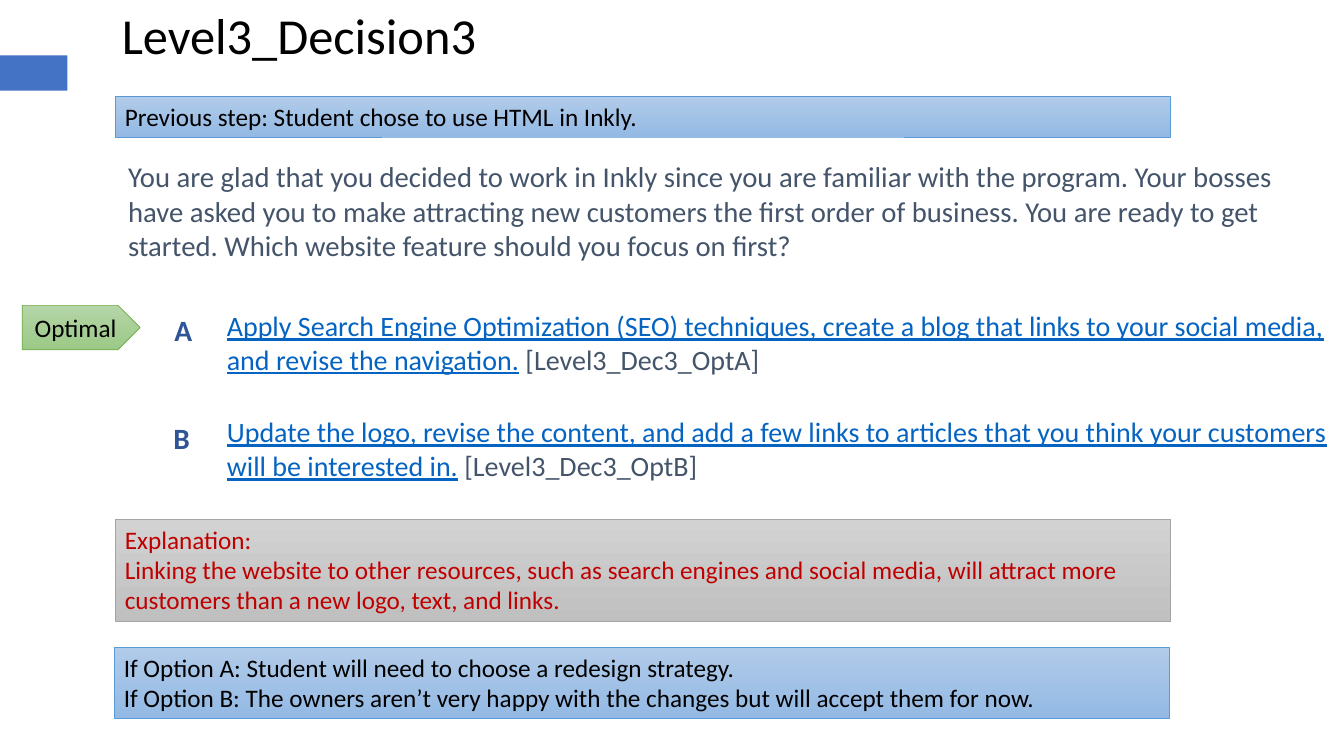
from pptx import Presentation
from pptx import util as u
from pptx.dml.color import RGBColor
from pptx.enum import shapes, text

COLOURS = {
    "accent": "4472C4", "body": "44546A", "link": "0563C1", "letter": "2F5597",
    "black": "000000", "red": "C00000",
}
PANELS = {
    "blue": ("B1CBE9", "93B9E4", "5B9BD5"),
    "grey": ("D2D2D2", "C0C0C0", "A5A5A5"),
    "green": ("B5D5A7", "9CC987", "70AD47"),
}
WIDE_INSETS = (0.13, 0.07)
NORMAL_INSETS = (0.1, 0.05)


def rgb(value):
    """Turn a hex string into a colour."""
    return RGBColor.from_string(value)


def style(span, size, colour, bold=False, underline=False):
    """Format one run of text."""
    span.font.name = "Calibri"
    span.font.size = u.Pt(size)
    span.font.color.rgb = rgb(COLOURS[colour])
    span.font.bold = bold
    span.font.underline = underline


def set_frame(shape, insets, wrap=True, anchor=text.MSO_ANCHOR.TOP):
    """Set the insets, wrapping and anchor of a shape's text."""
    frame = shape.text_frame
    frame.margin_left = frame.margin_right = u.Inches(insets[0])
    frame.margin_top = frame.margin_bottom = u.Inches(insets[1])
    frame.word_wrap = wrap
    frame.vertical_anchor = anchor
    return frame


def add_label(page, box, words, size, colour, bold=False, insets=WIDE_INSETS, wrap=True):
    """Add a text box with a single paragraph."""
    label = page.shapes.add_textbox(*map(u.Inches, box))
    frame = set_frame(label, insets, wrap)
    frame.text = words
    style(frame.paragraphs[0].runs[0], size, colour, bold)


def add_panel(page, box, palette, lines, colour="black", kind=shapes.MSO_SHAPE.RECTANGLE,
              anchor=text.MSO_ANCHOR.TOP, align=text.PP_ALIGN.LEFT):
    """Add an outlined shape with a vertical gradient and lines of text."""
    panel = page.shapes.add_shape(kind, *map(u.Inches, box))
    panel.shadow.inherit = False
    top, bottom, outline = PANELS[palette]
    panel.fill.gradient()
    panel.fill.gradient_angle = 270
    for stop, shade in zip(panel.fill.gradient_stops, (top, bottom)):
        stop.color.rgb = rgb(shade)
    panel.line.color.rgb = rgb(outline)
    panel.line.width = u.Pt(0.5)
    frame = set_frame(panel, NORMAL_INSETS, anchor=anchor)
    frame.text = "\n".join(lines)
    for para in frame.paragraphs:
        para.alignment = align
        style(para.runs[0], 18, colour)


def add_options(page, box, options):
    """Add the answer options, each an underlined choice and its tag."""
    choices = page.shapes.add_textbox(*map(u.Inches, box))
    frame = set_frame(choices, WIDE_INSETS)
    for index, (choice, tag) in enumerate(options):
        para = frame.add_paragraph() if index else frame.paragraphs[0]
        if index:
            para.space_before = u.Pt(28)
        para.text = choice
        style(para.runs[0], 20, "link", underline=True)
        span = para.add_run()
        span.text = f" {tag}"
        style(span, 20, "body")


def add_accent(page, box):
    """Add the plain bar at the left edge."""
    bar = page.shapes.add_shape(shapes.MSO_SHAPE.RECTANGLE, *map(u.Inches, box))
    bar.shadow.inherit = False
    bar.fill.solid()
    bar.fill.fore_color.rgb = rgb(COLOURS["accent"])
    bar.line.fill.background()


def decision_slide(deck):
    """Build the decision slide."""
    page = deck.slides.add_slide(deck.slide_layouts[6])
    add_accent(page, (0, 0.55, 0.67, 0.35))
    add_label(page, (1.14, 1.51, 12.19, 1.48),
              "You are glad that you decided to work in Inkly since you are familiar with the "
              "program. Your bosses have asked you to make attracting new customers the first "
              "order of business. You are ready to get started. Which website feature should "
              "you focus on first?", 20.5, "body")
    add_options(page, (2.12, 2.99, 11.37, 2.03), [
        ("Apply Search Engine Optimization (SEO) techniques, create a blog that links to your "
         "social media, and revise the navigation.", "[Level3_Dec3_OptA]"),
        ("Update the logo, revise the content, and add a few links to articles that you think "
         "your customers will be interested in.", "[Level3_Dec3_OptB]"),
    ])
    add_label(page, (1.6, 3.03, 0.68, 0.58), "A", 21, "letter", bold=True)
    add_label(page, (1.59, 4.1, 0.7, 0.44), "B", 21, "letter", bold=True)
    add_label(page, (1.11, -0.01, 3.72, 0.71), "Level3_Decision3", 36, "black",
              insets=NORMAL_INSETS, wrap=False)
    add_panel(page, (1.14, 0.96, 10.47, 0.4), "blue",
              ["Previous step: Student chose to use HTML in Inkly."])
    add_panel(page, (1.13, 6.42, 10.47, 0.71), "blue", [
        "If Option A: Student will need to choose a redesign strategy.",
        "If Option B: The owners aren’t very happy with the changes but will accept them for now.",
    ])
    add_panel(page, (1.14, 5.15, 10.47, 1.01), "grey", [
        "Explanation:",
        "Linking the website to other resources, such as search engines and social media, will "
        "attract more customers than a new logo, text, and links.",
    ], colour="red")
    add_panel(page, (0.22, 3.03, 1.17, 0.44), "green", ["Optimal"],
              kind=shapes.MSO_SHAPE.PENTAGON, anchor=text.MSO_ANCHOR.MIDDLE,
              align=text.PP_ALIGN.CENTER)


def main():
    """Create the deck and save it."""
    deck = Presentation()
    deck.slide_width, deck.slide_height = u.Inches(13.33), u.Inches(7.5)
    decision_slide(deck)
    deck.save("out.pptx")


if __name__ == "__main__":
    main()
